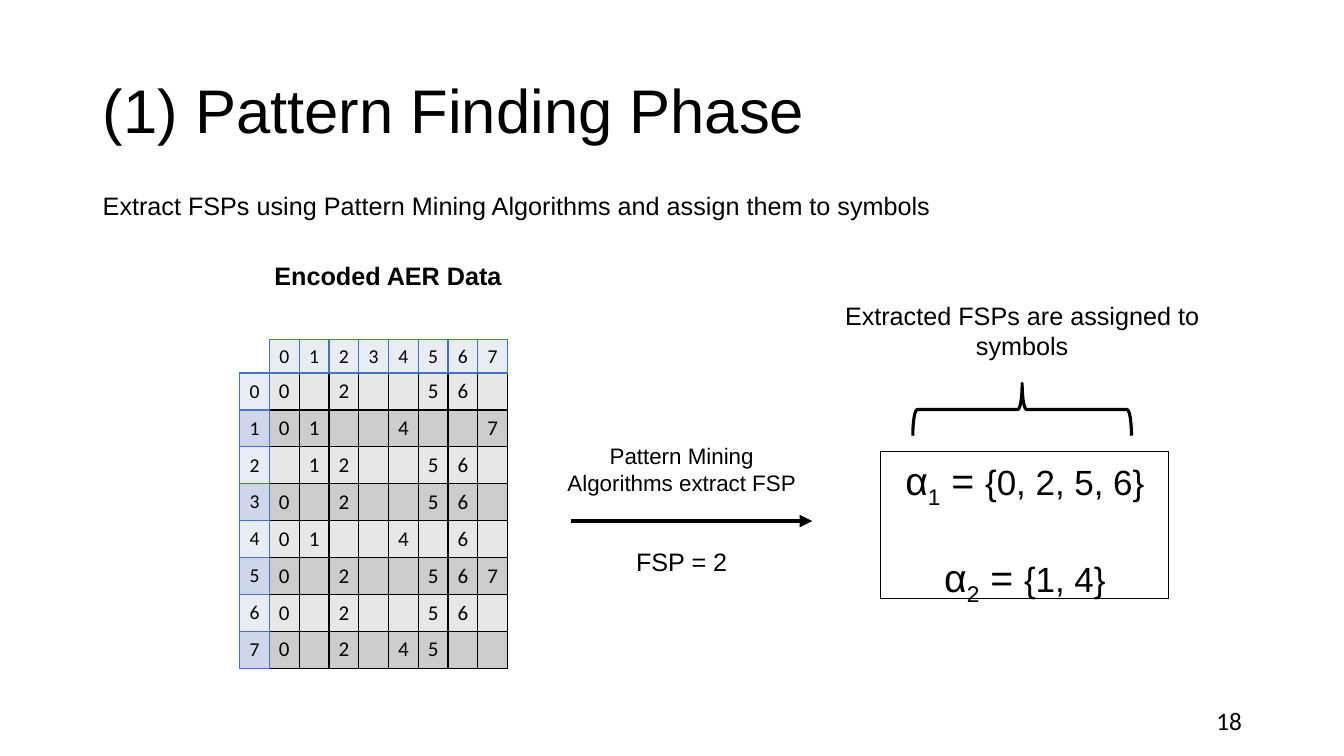
from dataclasses import dataclass

from lxml import etree
from pptx import Presentation
from pptx.dml.color import RGBColor
from pptx.enum import shapes, text
from pptx.oxml import ns
from pptx.util import Cm, Pt


@dataclass(frozen=True)
class Theme:
    font: str = "Arial"
    table_font: str = "Calibri"
    ink: str = "000000"
    header_line: str = "4472C4"
    header_bands: tuple = ("E9EBF5", "CFD5EA")
    grid_bands: tuple = ("E7E7E7", "CCCCCC")
    title: int = 44
    symbol: int = 28
    values: int = 25
    body: int = 18
    label: int = 16
    cell: int = 15
    header: int = 14


THEME = Theme()
CENTER = text.PP_ALIGN.CENTER
MIDDLE = text.MSO_ANCHOR.MIDDLE

# Symbols present in each encoded row
EVENTS = ["0256", "0147", "1256", "0256", "0146", "02567", "0256", "0245"]
SYMBOLS = "01234567"
PATTERNS = [("1", "{0, 2, 5, 6}"), ("2", "{1, 4}")]


def rgb(value):
    return RGBColor.from_string(value)


def style(font, size, name=THEME.font, bold=False):
    font.size, font.name, font.bold = Pt(size), name, bold
    font.color.rgb = rgb(THEME.ink)


def add_label(s, box, words, size=THEME.body, align=CENTER, wrap=True,
              bold=False, name=THEME.font, anchor=text.MSO_ANCHOR.TOP):
    tf = s.shapes.add_textbox(*map(Cm, box)).text_frame
    tf.word_wrap, tf.vertical_anchor = wrap, anchor
    p = tf.paragraphs[0]
    p.text, p.alignment = words, align
    style(p.runs[0].font, size, name, bold)


def outline(shape, width):
    shape.line.color.rgb = rgb(THEME.ink)
    shape.line.width = Pt(width)


def border_cell(cell, color):
    tc_pr = cell._tc.get_or_add_tcPr()
    for i, side in enumerate(("lnL", "lnR", "lnT", "lnB")):
        ln = etree.Element(ns.qn("a:" + side), w=str(Pt(1)))
        fill = etree.SubElement(ln, ns.qn("a:solidFill"))
        etree.SubElement(fill, ns.qn("a:srgbClr"), val=color)
        tc_pr.insert(i, ln)


def add_grid(s, left, top, col_width, row_height, rows, bands, line, size):
    """Add a table of single symbols with alternating row fills."""
    n_rows, n_cols = len(rows), len(rows[0])
    table = s.shapes.add_table(
        n_rows, n_cols, Cm(left), Cm(top),
        Cm(col_width * n_cols), Cm(row_height * n_rows)).table
    table.first_row = table.horz_banding = False
    for col in table.columns:
        col.width = Cm(col_width)
    for i, values in enumerate(rows):
        table.rows[i].height = Cm(row_height)
        for j, value in enumerate(values):
            cell = table.cell(i, j)
            cell.margin_left = cell.margin_right = 0
            cell.margin_top = cell.margin_bottom = Cm(0.05)
            cell.vertical_anchor = MIDDLE
            cell.fill.solid()
            cell.fill.fore_color.rgb = rgb(bands[i % 2])
            border_cell(cell, line)
            p = cell.text_frame.paragraphs[0]
            p.text, p.alignment = value, CENTER
            style(p.font, size, THEME.table_font)
            for r in p.runs:
                style(r.font, size, THEME.table_font)


def add_heading(s, left, top, width):
    title = s.shapes.title
    title.left, title.top = Cm(left), Cm(top)
    title.width, title.height = Cm(width), Cm(3.68)
    tf = title.text_frame
    tf.text = "(1) Pattern Finding Phase"
    tf.vertical_anchor = MIDDLE
    p = tf.paragraphs[0]
    p.alignment, p.line_spacing = text.PP_ALIGN.LEFT, 0.9
    style(p.runs[0].font, THEME.title)
    add_label(s, (left, top + 3.65, 22.28, 1.02),
              "Extract FSPs using Pattern Mining Algorithms and assign them to symbols",
              align=text.PP_ALIGN.LEFT, wrap=False)


def add_encoded_data(s, left, top):
    col, row, header = 0.75, 0.93, 0.84
    grid_left, grid_top = left + col, top + 2.97
    add_label(s, (grid_left - 0.16, top, 6.3, 1.02), "Encoded AER Data",
              wrap=False, bold=True)
    events = [[c if c in event else "" for c in SYMBOLS] for event in EVENTS]
    add_grid(s, grid_left, grid_top, col, row, events,
             THEME.grid_bands, THEME.ink, THEME.cell)
    # Column and row indices
    for x, y, height, rows in ((grid_left, grid_top - header, header, [SYMBOLS]),
                               (left, grid_top, row, list(SYMBOLS))):
        add_grid(s, x, y, col, height, rows,
                 THEME.header_bands, THEME.header_line, THEME.header)


def add_mining_step(s, left, top, width):
    add_label(s, (left, top, width, 1.63),
              "Pattern Mining Algorithms extract FSP", THEME.label)
    y = Cm(top + 2.11)
    arrow = s.shapes.add_connector(
        shapes.MSO_CONNECTOR.STRAIGHT, Cm(left + 0.39), y, Cm(left + width + 0.1), y)
    outline(arrow, 3)
    etree.SubElement(arrow.line._get_or_add_ln(), ns.qn("a:tailEnd"), type="triangle")
    etree.SubElement(arrow._element.spPr, ns.qn("a:effectLst"))
    add_label(s, (left + (width - 2.84) / 2, top + 2.62, 2.84, 1.02),
              "FSP = 2", wrap=False)


def add_symbols(s, left, top, width):
    add_label(s, (left, top, width, 1.8), "Extracted FSPs are assigned to symbols")

    # Brace turned to point up at the caption
    depth, span = 1.32, 5.51
    brace = s.shapes.add_shape(
        shapes.MSO_SHAPE.RIGHT_BRACE, Cm(left + (width - depth) / 2),
        Cm(top + 2.88 - span / 2), Cm(depth), Cm(span))
    brace.rotation = 270
    brace.shadow.inherit = False
    brace.fill.background()
    outline(brace, 2.25)

    # Symbol definitions
    sp = s.shapes.add_shape(shapes.MSO_SHAPE.RECTANGLE, Cm(left + 1.85),
                            Cm(top + 3.94), Cm(7.26), Cm(3.71))
    sp.shadow.inherit = False
    sp.fill.background()
    outline(sp, 0.75)
    tf = sp.text_frame
    tf.word_wrap, tf.vertical_anchor = True, text.MSO_ANCHOR.TOP
    for i, (index, values) in enumerate(PATTERNS):
        p = tf.add_paragraph() if i else tf.paragraphs[0]
        p.alignment = CENTER
        if i:
            p.space_before = Pt(31)
        for words, size in (("α", THEME.symbol), (index, THEME.symbol),
                            (" = ", THEME.symbol), (values, THEME.values)):
            r = p.add_run()
            r.text = words
            style(r.font, size)
        p.runs[1].font._element.set("baseline", "-25000")


def main():
    prs = Presentation()
    prs.slide_width, prs.slide_height = Cm(33.87), Cm(19.05)
    s = prs.slides.add_slide(prs.slide_layouts[5])
    add_heading(s, 2.34, 1.02, 29.21)
    add_encoded_data(s, 6.04, 6.43)
    add_mining_step(s, 13.99, 11.02, 6.38)
    add_symbols(s, 20.35, 7.44, 10.82)
    # Page number
    add_label(s, (23.93, 17.65, 7.62, 1.02), "18", align=text.PP_ALIGN.RIGHT,
              name=THEME.table_font, anchor=MIDDLE)
    prs.save("out.pptx")


if __name__ == "__main__":
    main()
